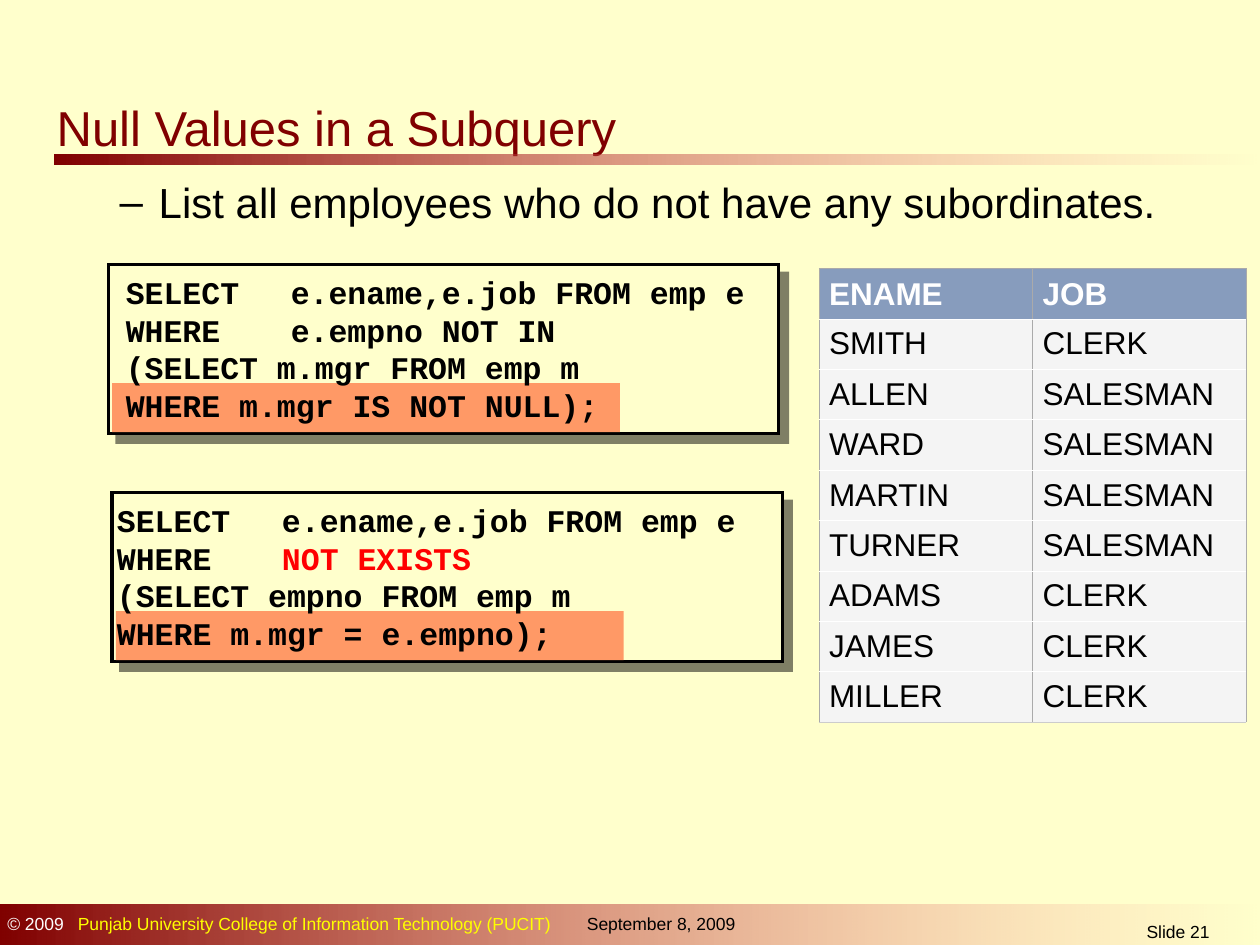
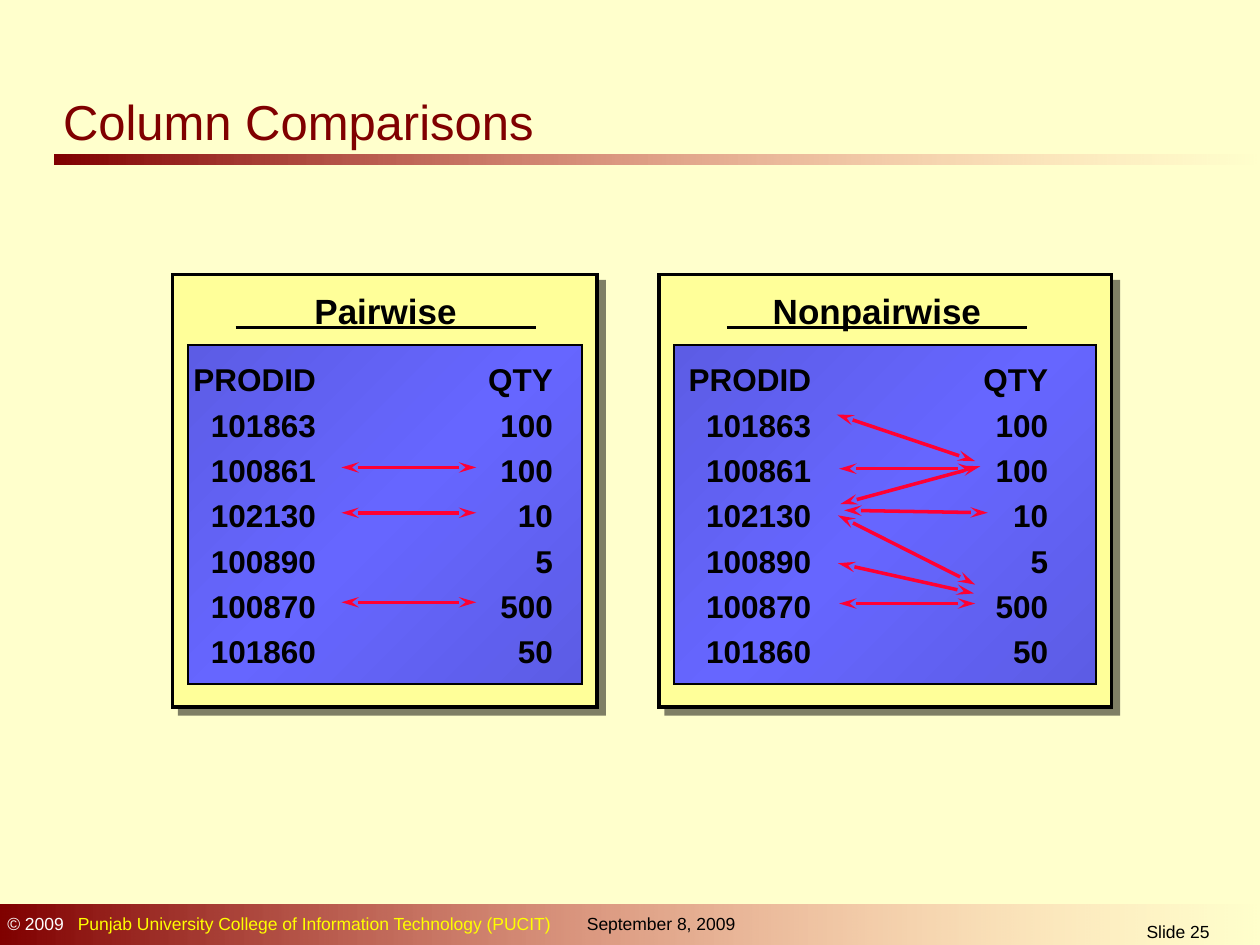
from pptx import Presentation
from pptx.dml.color import RGBColor
from pptx.enum.shapes import MSO_CONNECTOR, MSO_SHAPE
from pptx.enum.text import MSO_ANCHOR, MSO_AUTO_SIZE, PP_ALIGN
from pptx.oxml import parse_xml
from pptx.oxml.ns import nsdecls, qn
from pptx.oxml.xmlchemy import OxmlElement
from pptx.util import Inches, Pt

COLUMNS, ROWS = 100, 75
SLIDE_WIDTH, SLIDE_HEIGHT = Inches(10), Inches(7.5)
SANS, MONO = "Arial", "Courier New"
COLORS = {
    "background": "FFFFCC", "maroon": "800000", "fade": "FF8585",
    "black": "000000", "white": "FFFFFF", "yellow": "FFFF00",
    "highlight": "FF9966", "keyword": "FF0000", "arrow": "FF0033",
    "panel": "FFFF99", "blue": "6666FF", "blue_edge": "5C5CE5",
    "header": "879CBD", "cell": "F4F4F4",
    "cell_side": "AAAAAA", "table_bottom": "CCCCCC",
}

BAND_STOPS = [(0, "maroon", 100), (100, "fade", 0)]
LIST_STOPS = [(0, "blue_edge", 100), (50, "blue", 100), (100, "blue_edge", 100)]

EMPLOYEES = [
    ("ENAME", "JOB"), ("SMITH", "CLERK"), ("ALLEN", "SALESMAN"),
    ("WARD", "SALESMAN"), ("MARTIN", "SALESMAN"), ("TURNER", "SALESMAN"),
    ("ADAMS", "CLERK"), ("JAMES", "CLERK"), ("MILLER", "CLERK"),
]
NOT_IN_QUERY = [
    [("SELECT\te.ename,e.job FROM emp e", "black")],
    [("WHERE\te.empno NOT IN", "black")],
    [("(SELECT m.mgr FROM emp m", "black")],
    [("WHERE m.mgr IS NOT NULL);", "black")],
]
NOT_EXISTS_QUERY = [
    [("SELECT\te.ename,e.job FROM emp e", "black")],
    [("WHERE\t", "black"), ("NOT EXISTS", "keyword")],
    [("(SELECT empno FROM emp m", "black")],
    [("WHERE m.mgr = e.empno);", "black")],
]
PRODUCTS = [
    ("PRODID", "QTY"), ("101863", "100"), ("100861", "100"), ("102130", "10"),
    ("100890", "5"), ("100870", "500"), ("101860", "50"),
]
# Arrow ends as columns and rows from the panel's corner
PAIRWISE_ARROWS = [(13.4, row, 24.1, row) for row in (15.3, 18.9, 26)]
NONPAIRWISE_ARROWS = [
    (14.3, 15.4, 25.1, 15.4), (14.1, 11.1, 25.1, 14.8), (14.4, 18.2, 25.5, 15.2),
    (25.1, 26.1, 14.3, 26.1), (25, 25.3, 14.2, 22.9), (25.1, 24.6, 14.2, 19.1),
    (26.1, 18.9, 14.7, 18.7),
]


def rgb(name):
    return RGBColor.from_string(COLORS[name])


def across(columns):
    return round(SLIDE_WIDTH * columns / COLUMNS)


def down(rows):
    return round(SLIDE_HEIGHT * rows / ROWS)


def place(left, top, width, height):
    return across(left), down(top), across(width), down(height)


def write(frame, lines, size, font=SANS, bold=False, align=PP_ALIGN.LEFT,
          anchor=MSO_ANCHOR.TOP, spacing=1.0, tabs=()):
    """Fill a text frame; each line is a list of (text, colour) runs, each tab (inches, side)."""
    frame.word_wrap = True
    frame.auto_size = MSO_AUTO_SIZE.NONE
    frame.vertical_anchor = anchor
    for number, line in enumerate(lines):
        paragraph = frame.add_paragraph() if number else frame.paragraphs[0]
        paragraph.alignment = align
        paragraph.line_spacing = spacing
        paragraph.space_before = Pt(0)
        if tabs:
            stops = OxmlElement("a:tabLst")
            for position, side in tabs:
                stop = OxmlElement("a:tab")
                stop.set("pos", str(Inches(position)))
                stop.set("algn", side)
                stops.append(stop)
            paragraph._p.get_or_add_pPr().append(stops)
        for text, color in line:
            run = paragraph.add_run()
            run.text = text
            run.font.name = font
            run.font.size = Pt(size)
            run.font.bold = bold
            run.font.color.rgb = rgb(color)


def add_words(slide, box, lines, size, **style):
    write(slide.shapes.add_textbox(*place(*box)).text_frame, lines, size, **style)


def add_box(slide, box, fill=None, stops=None, angle=0, outline=0, shadow=0):
    """Draw a rectangle; outline and shadow distance are in points."""
    rectangle = slide.shapes.add_shape(MSO_SHAPE.RECTANGLE, *place(*box))
    properties = rectangle._element.spPr
    if stops:
        rectangle.fill.gradient()
        marks = "".join(
            f'<a:gs pos="{at * 1000}"><a:srgbClr val="{COLORS[color]}">'
            f'<a:alpha val="{alpha * 1000}"/></a:srgbClr></a:gs>'
            for at, color, alpha in stops)
        properties.replace(properties.find(qn("a:gradFill")), parse_xml(
            f'<a:gradFill {nsdecls("a")} rotWithShape="1"><a:gsLst>{marks}</a:gsLst>'
            f'<a:lin ang="{angle * 60000}" scaled="1"/></a:gradFill>'))
    else:
        rectangle.fill.solid()
        rectangle.fill.fore_color.rgb = rgb(fill)
    if outline:
        rectangle.line.color.rgb = rgb("black")
        rectangle.line.width = Pt(outline)
        corner = OxmlElement("a:miter")
        corner.set("lim", "800000")
        rectangle.line._ln.append(corner)
    else:
        rectangle.line.fill.background()
    rectangle.shadow.inherit = False
    if shadow:
        properties.find(qn("a:effectLst")).append(parse_xml(
            f'<a:outerShdw {nsdecls("a")} blurRad="0" dist="{Pt(shadow)}" dir="2700000" '
            f'algn="ctr" rotWithShape="0"><a:srgbClr val="{COLORS["black"]}">'
            '<a:alpha val="50000"/></a:srgbClr></a:outerShdw>'))


def add_line(slide, start, end, color, arrow=False):
    line = slide.shapes.add_connector(
        MSO_CONNECTOR.STRAIGHT, across(start[0]), down(start[1]),
        across(end[0]), down(end[1]))
    line.line.color.rgb = rgb(color)
    line.line.width = Pt(2)
    if arrow:
        for tag in ("a:headEnd", "a:tailEnd"):
            tip = OxmlElement(tag)
            tip.set("type", "stealth")
            tip.set("len", "lg")
            line.line._ln.append(tip)
    line._element.spPr.append(OxmlElement("a:effectLst"))


def start_slide(deck, layout, title, title_box, number):
    """Add a slide with its title, the title band and the footer."""
    slide = deck.slides.add_slide(deck.slide_layouts[layout])
    add_box(slide, (4.3, 12.3, 95.7, 0.8), stops=BAND_STOPS)
    add_box(slide, (0, 71.8, 100, 3.2), stops=BAND_STOPS)
    add_words(slide, (-0.4, 72, 64.6, 2.7), [[
        ("© 2009", "white"),
        ("\tPunjab University College of Information Technology (PUCIT)", "yellow"),
    ]], 10, tabs=[(0.56, "l")])
    add_words(slide, (45.6, 72, 16, 2.7), [[("September 8, 2009", "black")]], 10)
    add_words(slide, (83.1, 72.6, 20.8, 2.4), [[(f"Slide {number}", "black")]], 10,
              align=PP_ALIGN.CENTER)
    heading = slide.shapes.title
    heading.left, heading.top, heading.width, heading.height = place(*title_box)
    write(heading.text_frame, [[(title, "maroon")]], 28)
    return slide


def add_query(slide, left, top, code_shift, lines):
    """Draw a shadowed code box whose last line is highlighted."""
    add_box(slide, (left, top, 53.2, 13.4), fill="background", outline=2, shadow=7.1)
    add_box(slide, (left + 0.3, top + 9.4, 40.3, 3.9), fill="highlight")
    add_words(slide, (left + code_shift, top, 54.3, 13.3), lines, 18, font=MONO,
              bold=True, anchor=MSO_ANCHOR.MIDDLE, tabs=[(1.31, "l")])


def add_border(cell, side, color):
    cell._tc.get_or_add_tcPr().append(parse_xml(
        f'<a:ln{side} {nsdecls("a")} w="{Pt(0.28)}"><a:solidFill>'
        f'<a:srgbClr val="{COLORS[color]}"/></a:solidFill></a:ln{side}>'))


def add_employees(slide, left, top):
    column, row_height = 16.95, 4
    last = len(EMPLOYEES) - 1
    table = slide.shapes.add_table(len(EMPLOYEES), 2, *place(
        left, top, 2 * column, len(EMPLOYEES) * row_height)).table
    table.horz_banding = False
    for index, record in enumerate(EMPLOYEES):
        header = index == 0
        for cell, value in zip(table.rows[index].cells, record):
            add_border(cell, "L", "cell_side")
            add_border(cell, "R", "cell_side")
            add_border(cell, "T", "cell_side" if header else "white")
            add_border(cell, "B", "table_bottom" if index == last else "white")
            cell.fill.solid()
            cell.fill.fore_color.rgb = rgb("header" if header else "cell")
            cell.margin_left = cell.margin_right = Inches(0.08)
            cell.vertical_anchor = MSO_ANCHOR.BOTTOM if header else MSO_ANCHOR.MIDDLE
            paragraph = cell.text_frame.paragraphs[0]
            run = paragraph.add_run()
            run.text = value
            run.font.name = SANS
            run.font.size = Pt(18)
            run.font.bold = header
            run.font.color.rgb = rgb("white" if header else "black")


def add_comparison(slide, box, name, heading_shift, list_shift, arrows):
    """Draw a panel with an underlined heading, the product list and its arrows."""
    left, top, width, height = box
    inset, heading_width = 1.2, 23.8
    add_box(slide, box, fill="panel", outline=2, shadow=5.7)
    add_box(slide, (left + inset, top + 5.6, width - 2 * inset, 26.9),
            stops=LIST_STOPS, angle=45, outline=1)
    heading_left = left + heading_shift
    add_words(slide, (heading_left, top, heading_width, 5), [[(name, "black")]], 20,
              bold=True, align=PP_ALIGN.CENTER, spacing=1.2)
    add_line(slide, (heading_left, top + 4.2),
             (heading_left + heading_width, top + 4.2), "black")
    add_words(slide, (left + list_shift, top + 5.7, 41.4, 26.2),
              [[(f"\t{product}\t{quantity}", "black")] for product, quantity in PRODUCTS],
              18, bold=True, spacing=1.2, tabs=[(1.25, "r"), (3.13, "r")])
    for x1, y1, x2, y2 in arrows:
        add_line(slide, (left + x1, top + y1), (left + x2, top + y2), "arrow", arrow=True)


def build_subquery_slide(deck):
    slide = start_slide(deck, 1, "Null Values in a Subquery", (3.5, 7.2, 47.6, 5.1), 21)
    task = slide.placeholders[1]
    task.left, task.top, task.width, task.height = place(3.5, 13.5, 91.3, 5)
    write(task.text_frame,
          [[("List all employees who do not have any subordinates.", "black")]], 24)
    paragraph = task.text_frame.paragraphs[0]
    paragraph.level = 1
    indents = paragraph._p.get_or_add_pPr()
    indents.set("marL", str(Inches(0.81)))
    indents.set("indent", str(Inches(-0.31)))
    add_query(slide, 8.6, 21, 0.4, NOT_IN_QUERY)
    add_query(slide, 8.9, 39.1, -0.6, NOT_EXISTS_QUERY)
    add_employees(slide, 65, 21.3)


def build_comparison_slide(deck):
    slide = start_slide(deck, 5, "Column Comparisons", (4, 6.8, 41.3, 5.9), 25)
    add_comparison(slide, (13.7, 21.8, 33.7, 34.3), "Pairwise", 5, -2.1,
                   PAIRWISE_ARROWS)
    add_comparison(slide, (52.3, 21.8, 35.9, 34.3), "Nonpairwise", 5.4, -1.4,
                   NONPAIRWISE_ARROWS)


def main():
    deck = Presentation()
    deck.slide_width, deck.slide_height = SLIDE_WIDTH, SLIDE_HEIGHT
    backdrop = deck.slide_master.background.fill
    backdrop.solid()
    backdrop.fore_color.rgb = rgb("background")
    build_subquery_slide(deck)
    build_comparison_slide(deck)
    deck.save("out.pptx")


if __name__ == "__main__":
    main()
